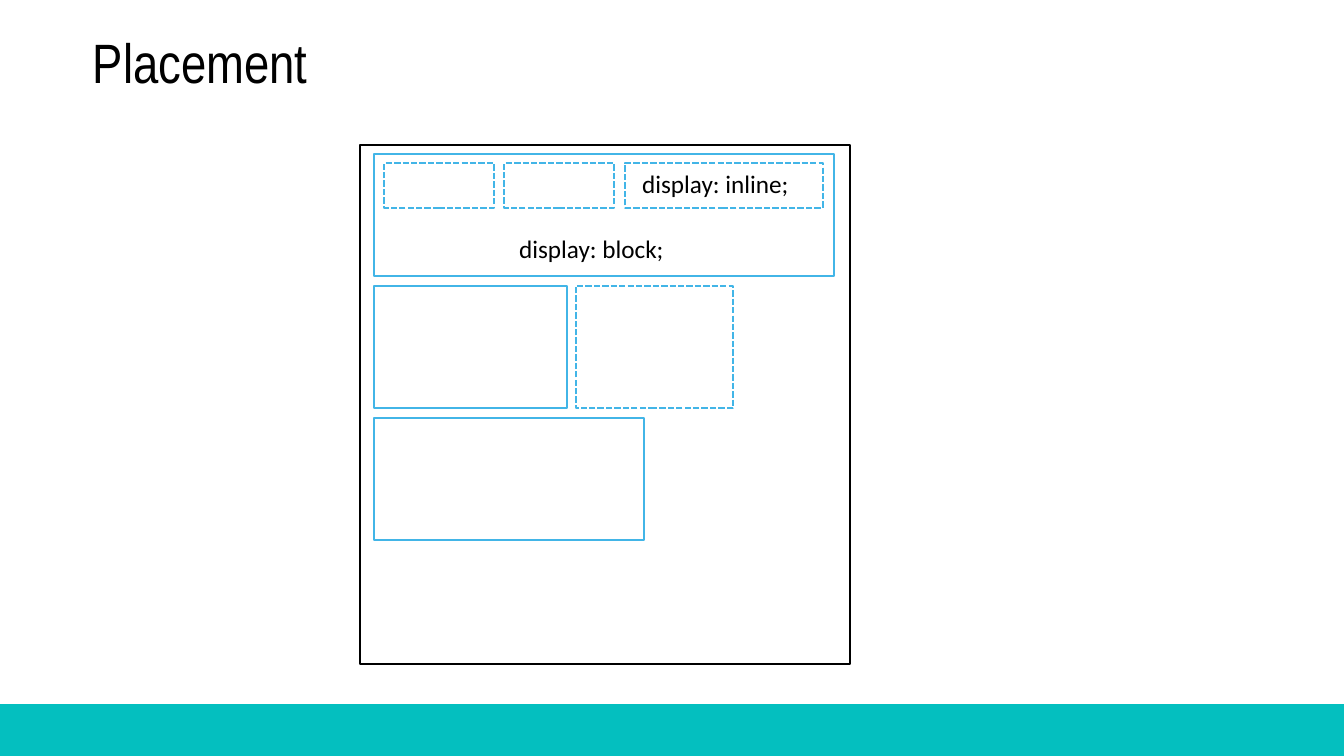
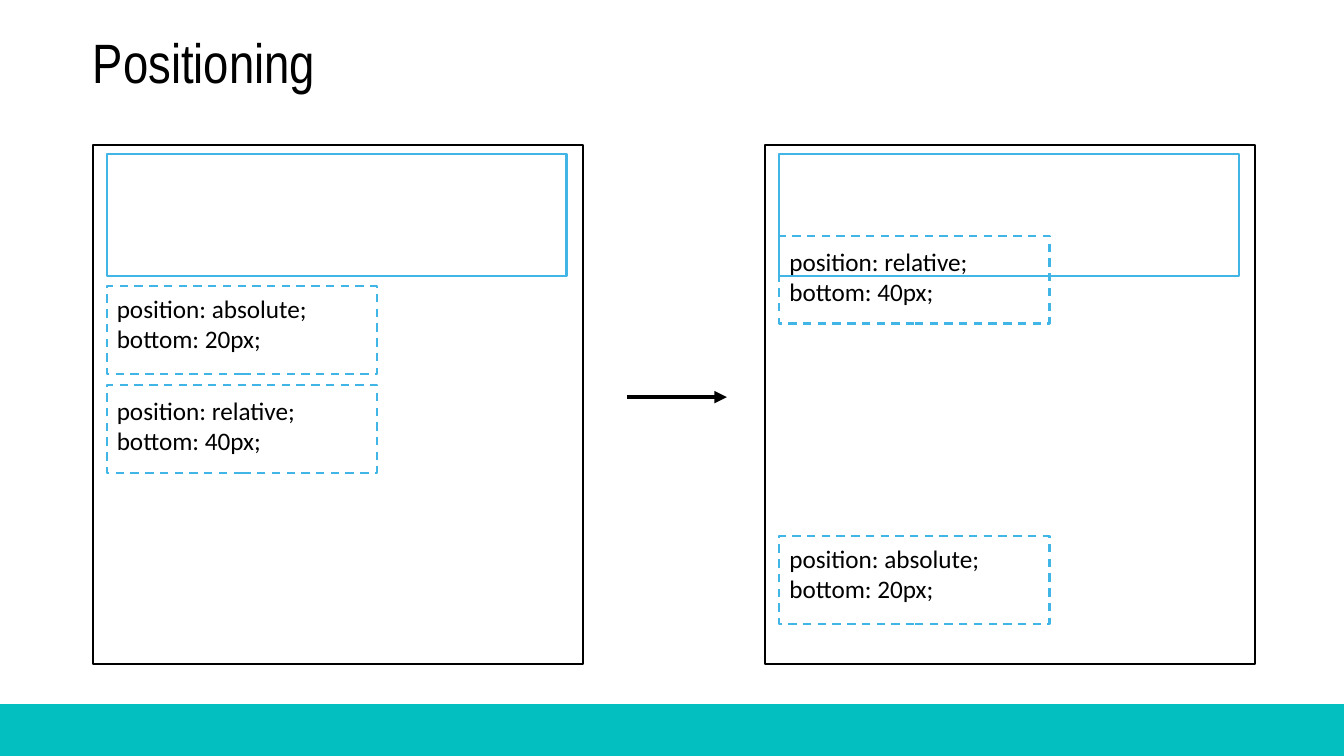
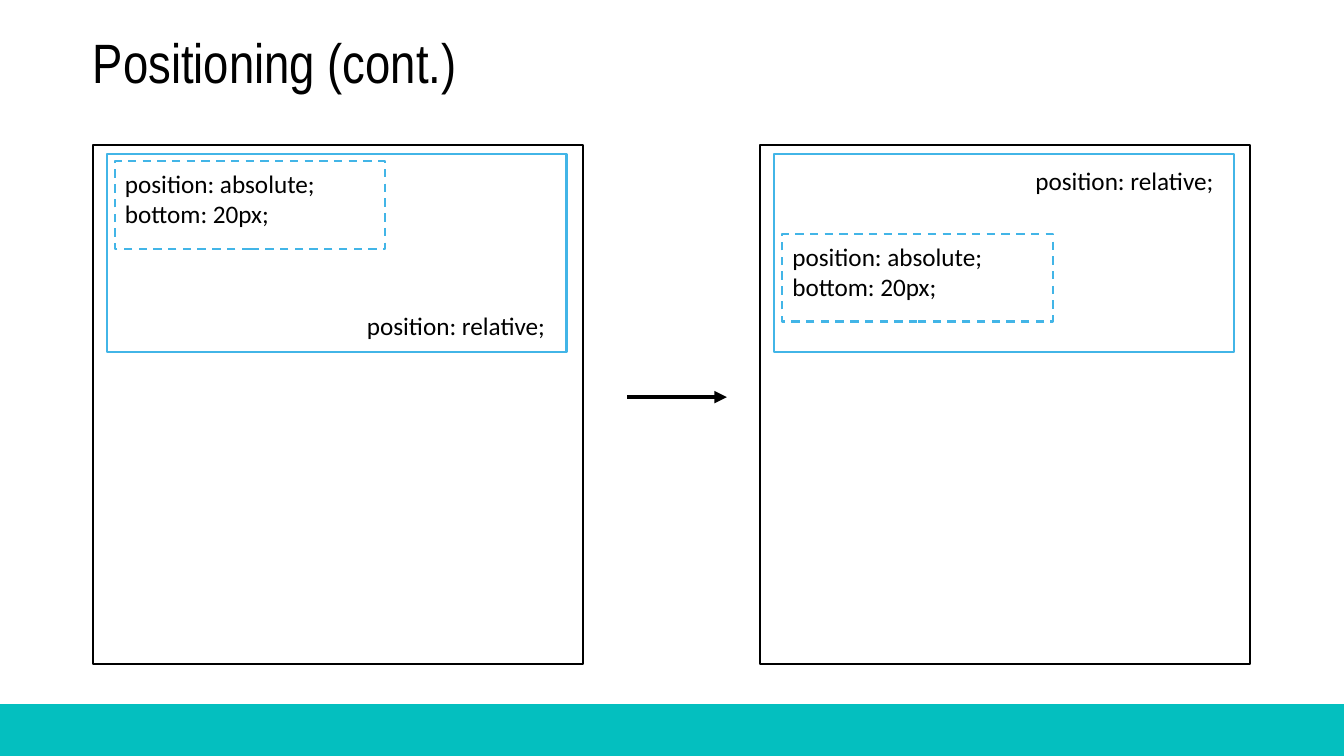
"""Builds three slides on CSS display and positioning."""
from lxml import etree
from pptx import Presentation
from pptx.dml.color import RGBColor
from pptx.enum import dml, shapes, text
from pptx.oxml.ns import qn
from pptx.util import Inches, Pt

BLACK, BLUE, TEAL = "000000", "42B5E7", "04BFBF"
SOLID, DASH, SHORT = None, dml.MSO_LINE.DASH, dml.MSO_LINE.SQUARE_DOT
SLIDE_WIDTH, SLIDE_HEIGHT = 13.33, 7.5
BAND_TOP = 6.99
WINDOW_TOP, WINDOW_WIDTH, WINDOW_HEIGHT = 1.44, 4.86, 5.15
EDGE, HEAD_TOP, HEAD_WIDTH = 0.14, 0.09, 4.56
BLOCK_HEIGHT, BLOCK_GAP = 1.21, 0.1
ROWS = [round(HEAD_TOP + row * (BLOCK_HEIGHT + BLOCK_GAP), 2) for row in range(3)]
INLINE_TOP, INLINE_HEIGHT = 0.18, 0.44
CARD_WIDTH, CARD_HEIGHT = 2.68, 0.87
ARROW = (6.22, 7.21, 3.94)

ABSOLUTE = ("position: absolute;\nbottom: 20px;", 0.02)
RELATIVE = ("position: relative;\nbottom: 40px;", 0.05)
PARENT = "position: relative;"
HEADER = (EDGE, HEAD_TOP, HEAD_WIDTH, BLOCK_HEIGHT, SOLID)
TALL_HEADER = (EDGE, HEAD_TOP, HEAD_WIDTH, 1.96, SOLID)

# Places inside a window are measured from its top left corner.
SLIDES = [
    {"title": "Placement", "windows": [
        {"left": 3.57,
         "boxes": [HEADER,
                   (EDGE, ROWS[1], 1.91, BLOCK_HEIGHT, SOLID),
                   (EDGE, ROWS[2], 2.68, BLOCK_HEIGHT, SOLID),
                   (0.24, INLINE_TOP, 1.09, INLINE_HEIGHT, SHORT),
                   (1.43, INLINE_TOP, 1.09, INLINE_HEIGHT, SHORT),
                   (2.63, INLINE_TOP, 1.96, INLINE_HEIGHT, SHORT),
                   (2.14, ROWS[1], 1.56, BLOCK_HEIGHT, SHORT)],
         "labels": [(2.7, INLINE_TOP, 1.89, "display: inline;"),
                    (1.48, 0.83, 1.89, "display: block;")]}]},
    {"title": "Positioning", "windows": [
        {"left": 0.92, "boxes": [HEADER],
         "cards": [(EDGE, ROWS[1], ABSOLUTE), (EDGE, 2.38, RELATIVE)]},
        {"left": 7.59, "boxes": [HEADER],
         "cards": [(EDGE, 3.88, ABSOLUTE), (EDGE, 0.9, RELATIVE)]}]},
    {"title": "Positioning (cont.)", "windows": [
        {"left": 0.92, "boxes": [TALL_HEADER],
         "cards": [(0.22, 0.16, ABSOLUTE)],
         "labels": [(2.62, 1.59, CARD_WIDTH, PARENT)]},
        {"left": 7.54, "boxes": [TALL_HEADER],
         "cards": [(0.22, 0.88, ABSOLUTE)],
         "labels": [(2.63, 0.15, CARD_WIDTH, PARENT)]}]},
]


def color(value):
    """Turn a hex string into a colour."""
    return RGBColor.from_string(value)


def add_box(page, left, top, width, height, line, weight=1.5, dash=SOLID, fill=None):
    """Draw a rectangle, hollow unless a fill is given."""
    box = page.shapes.add_shape(shapes.MSO_SHAPE.RECTANGLE, Inches(left),
                                Inches(top), Inches(width), Inches(height))
    box.shadow.inherit = False
    if fill:
        box.fill.solid()
        box.fill.fore_color.rgb = color(fill)
    else:
        box.fill.background()
    box.line.color.rgb = color(line)
    box.line.width = Pt(weight)
    if dash:
        box.line.dash_style = dash


def add_text(page, left, top, width, height, words, size=18, font="Calibri"):
    """Add a wrapping black text box and return its frame."""
    box = page.shapes.add_textbox(Inches(left), Inches(top),
                                  Inches(width), Inches(height))
    frame = box.text_frame
    frame.word_wrap = True
    frame.text = words
    for paragraph in frame.paragraphs:
        for span in paragraph.runs:
            span.font.size = Pt(size)
            span.font.name = font
            span.font.color.rgb = color(BLACK)
    return frame


def add_label(page, left, top, width, words):
    """Add a label as tall as its lines."""
    height = 0.4 + 0.31 * words.count("\n")
    frame = add_text(page, left, top, width, height, words)
    frame.auto_size = text.MSO_AUTO_SIZE.SHAPE_TO_FIT_TEXT


def add_arrow(page):
    """Draw the arrow between two windows."""
    start, end, height = map(Inches, ARROW)
    arrow = page.shapes.add_connector(shapes.MSO_CONNECTOR.STRAIGHT,
                                      start, height, end, height)
    arrow.line.color.rgb = color(BLACK)
    arrow.line.width = Pt(3)
    etree.SubElement(arrow.line._get_or_add_ln(), qn("a:tailEnd"), type="triangle")
    etree.SubElement(arrow._element.spPr, qn("a:effectLst"))


def add_window(page, window):
    """Draw one browser window with its boxes, cards and labels."""
    left = window["left"]
    add_box(page, left, WINDOW_TOP, WINDOW_WIDTH, WINDOW_HEIGHT, BLACK)
    for x, y, width, height, dash in window["boxes"]:
        add_box(page, left + x, WINDOW_TOP + y, width, height, BLUE, dash=dash)
    for x, y, (words, drop) in window.get("cards", []):
        add_box(page, left + x, WINDOW_TOP + y, CARD_WIDTH, CARD_HEIGHT, BLUE, dash=DASH)
        add_label(page, left + x, WINDOW_TOP + y + drop, CARD_WIDTH, words)
    for x, y, width, words in window.get("labels", []):
        add_label(page, left + x, WINDOW_TOP + y, width, words)


def add_page(deck, title):
    """Add a slide with the shared band and title."""
    page = deck.slides.add_slide(deck.slide_layouts[6])
    add_box(page, 0, BAND_TOP, SLIDE_WIDTH, SLIDE_HEIGHT - BAND_TOP, TEAL,
            weight=1, fill=TEAL)
    frame = add_text(page, 0.92, 0.36, 10.16, 0.64, title, 39.6, "Arial Narrow")
    frame.margin_left = 0
    frame.vertical_anchor = text.MSO_ANCHOR.BOTTOM
    frame.paragraphs[0].line_spacing = 0.9
    return page


def main():
    """Build and save the deck."""
    deck = Presentation()
    deck.slide_width, deck.slide_height = Inches(SLIDE_WIDTH), Inches(SLIDE_HEIGHT)
    for content in SLIDES:
        page = add_page(deck, content["title"])
        for window in content["windows"]:
            add_window(page, window)
        if len(content["windows"]) > 1:
            add_arrow(page)
    deck.save("out.pptx")


if __name__ == "__main__":
    main()
